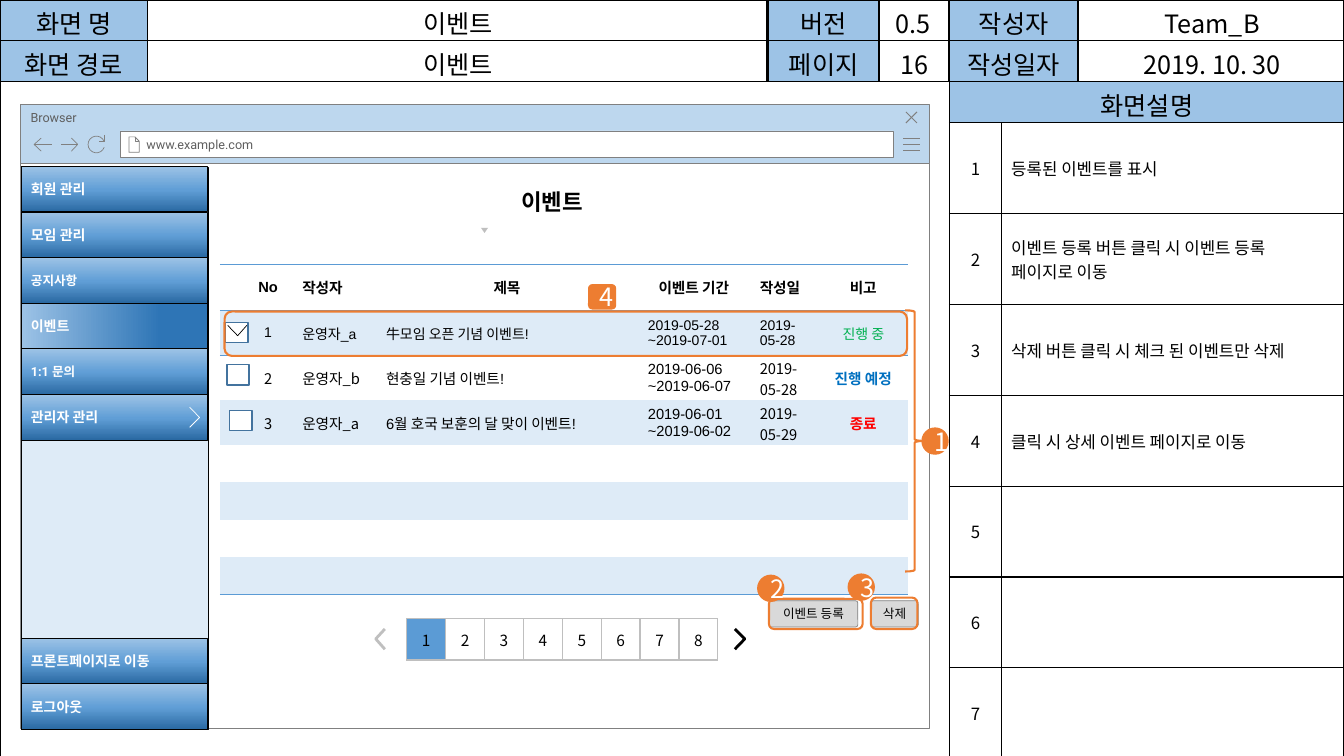
from math import cos, radians, sin

from lxml.etree import SubElement
from pptx import Presentation
from pptx.dml.color import RGBColor
from pptx.enum.shapes import MSO_SHAPE
from pptx.enum.text import MSO_ANCHOR, PP_ALIGN
from pptx.oxml.ns import qn
from pptx.util import Cm, Pt

KR, ARIAL, ROBOTO = "Noto Sans CJK KR", "Arial", "Roboto"
SKY, BLUE, PALE, GRAY, ORANGE = "9DC3E6", "5B9BD5", "DEEBF7", "808080", "ED7D31"
LEFT, CENTER = PP_ALIGN.LEFT, PP_ALIGN.CENTER

header_cols = [3.71, 15.65, 2.79, 1.78, 3.28, 6.73]
header = [
    ["화면 명", "", "버전", "0.5", "작성자", "Team_B"],
    ["화면 경로", "", "페이지", "", "작성일자", "2019. 10. 30"],
]
frame_cols = [3.71, 15.65, 2.79, 1.78, 1.3, 1.93, 6.71]
frame_rows = [1.03] * 3 + [2.29] * 7
frame_head = [
    ["화면 명", "이벤트", "버전", "", "작성자", "", ""],
    ["화면 경로", "이벤트", "페이지", "16", "작성일자", "", ""],
    ["", "", "", "", "화면설명", "", ""],
]
notes = ["등록된 이벤트를 표시", "이벤트 등록 버튼 클릭 시 이벤트 등록 페이지로 이동",
         "삭제 버튼 클릭 시 체크 된 이벤트만 삭제", "클릭 시 상세 이벤트 페이지로 이동", "", "", ""]

event_cols = [0.58, 1.22, 2.11, 6.6, 2.82, 1.73, 2.26]
event_rows = [1.17] + [1.13] * 3 + [0.94] * 4
event_aligns = [LEFT, CENTER, LEFT, LEFT, LEFT, LEFT, CENTER]
event_fonts = [KR, KR, KR, ARIAL, ARIAL, KR, ARIAL]
event_head = ["", "No", "작성자", "제목", "이벤트 기간", "작성일", "비고"]
events = [
    ["", "1", "운영자_a", "牛모임 오픈 기념 이벤트!", "2019-05-28\n~2019-07-01", "2019-05-28", "진행 중"],
    ["", "2", "운영자_b", "현충일 기념 이벤트!", "2019-06-06\n~2019-06-07", "2019-05-28", "진행 예정"],
    ["", "3", "운영자_a", "6월 호국 보훈의 달 맞이 이벤트!", "2019-06-01\n~2019-06-02", "2019-05-29", "종료"],
] + [[""] * 7] * 4
status_colors = {"진행 중": "00B050", "진행 예정": "0070C0", "종료": "FF0000"}

menu_left, menu_top, menu_width, menu_step = 0.53, 4.19, 4.7, 1.15
menu = [("회원 관리", 10), ("모임 관리", 10), ("공지사항", 9), ("이벤트", 10), ("1:1 문의", 9), ("관리자 관리", 10)]
menu_bottom = [("프론트페이지로 이동", 10), ("로그아웃", 10)]
menu_bottom_top = 16.08
menu_stops = [(0, "2A69A2"), (48, "609ED6"), (100, "9DC3E6")]
selected_stops = [(0, "2E75B6"), (25, "2E75B6"), (100, "9DC3E6")]

pages = "12345678"
buttons = [("이벤트 등록", (19.38, 15.14, 2.24, 0.66)), ("삭제", (21.95, 15.14, 1.19, 0.66))]
highlights = [(5.66, 7.85, 17.2, 1.12), (19.38, 15.09, 2.36, 0.76), (21.95, 15.06, 1.17, 0.79)]
badges = [("2", 19.08, 14.48), ("3", 21.36, 14.45), ("1", 23.22, 10.77)]
checkboxes = [(5.69, 8.13), (5.72, 9.19), (5.79, 10.34)]

reload_arc = [(2.43 + 0.21 * cos(radians(a)), 3.64 + 0.21 * sin(radians(a))) for a in range(20, 341, 20)]
browser_icons = [
    (0.5, [[(22.76, y), (23.19, y)] for y in (3.48, 3.64, 3.8)]),
    (0.75, [[(23.11, 2.82), (22.83, 3.1)], [(22.83, 2.82), (23.11, 3.1)]]),
    (0.5, [[(3.4, 3.45), (3.4, 3.56), (3.51, 3.56)],
           [(3.25, 3.45), (3.25, 3.84), (3.51, 3.84), (3.51, 3.56), (3.4, 3.45), (3.25, 3.45)]]),
    (0.5, [[(1.04, 3.81), (0.86, 3.64), (1.04, 3.48)], [(0.86, 3.64), (1.3, 3.64)]]),
    (0.5, [[(1.8, 3.48), (1.96, 3.64), (1.8, 3.81)], [(1.96, 3.64), (1.55, 3.64)]]),
    (0.5, [[(2.63, 3.4), (2.63, 3.56), (2.5, 3.56)], reload_arc]),
]
next_page = [(18.52, 16.36), (18.77, 16.1), (18.52, 15.85)]
previous_page = [(9.7, 15.85), (9.47, 16.1), (9.7, 16.36)]
check_mark = [(5.74, 8.2), (5.99, 8.46), (6.22, 8.2)]
menu_arrow = [(4.78, 10.26), (5.03, 10.52), (4.78, 10.77)]

deck = Presentation()
deck.slide_width, deck.slide_height = Cm(33.87), Cm(19.05)
slide = deck.slides.add_slide(deck.slide_layouts[6])


def color(value):
    return RGBColor.from_string(value)


def style(frame, text, size, font=KR, ink="000000", bold=False, align=CENTER):
    frame.text = text
    for paragraph in frame.paragraphs:
        paragraph.alignment = align
        paragraph.font.size = Pt(size)
        paragraph.font.name = font
        paragraph.font.bold = bold
        paragraph.font.color.rgb = color(ink)
        latin = paragraph._p.pPr.find(qn("a:defRPr")).find(qn("a:latin"))
        latin.addnext(latin.makeelement(qn("a:ea"), {"typeface": KR}))


def paint(shape, fill, line, weight):
    shape.shadow.inherit = False
    if fill:
        shape.fill.solid()
        shape.fill.fore_color.rgb = color(fill)
    else:
        shape.fill.background()
    if line:
        shape.line.color.rgb = color(line)
        shape.line.width = Pt(weight)
    else:
        shape.line.fill.background()


def add_box(kind, place, fill=None, line=None, weight=0.5):
    shape = slide.shapes.add_shape(kind, *[Cm(v) for v in place])
    paint(shape, fill, line, weight)
    return shape


def label(shape, text, size, insets=(0.25, 0.13, 0.25, 0.13), anchor=MSO_ANCHOR.MIDDLE, **look):
    frame = shape.text_frame
    frame.margin_left, frame.margin_top, frame.margin_right, frame.margin_bottom = [Cm(v) for v in insets]
    frame.vertical_anchor = anchor
    style(frame, text, size, **look)


def draw(strokes, line, weight):
    builder = None
    for stroke in strokes:
        (x, y), *rest = [(Cm(px), Cm(py)) for px, py in stroke]
        if builder:
            builder.move_to(x, y)
        else:
            builder = slide.shapes.build_freeform(x, y)
        builder.add_line_segments(rest, close=False)
    paint(builder.convert_to_shape(), None, line, weight)


def add_grid(left, top, cols, rows):
    place = [Cm(v) for v in (left, top, sum(cols), sum(rows))]
    table = slide.shapes.add_table(len(rows), len(cols), *place).table
    table.first_row = table.horz_banding = False
    table._tbl.tblPr.find(qn("a:tableStyleId")).text = "{2D5ABB26-0587-4C30-8999-92F81FD0307C}"
    for column, width in zip(table.columns, cols):
        column.width = Cm(width)
    for row, height in zip(table.rows, rows):
        row.height = Cm(height)
    return table


def fill_cell(cell, text, size, fill=None, border=None, sides="LRTB", top=0, right=0.25, **look):
    cell.vertical_anchor = MSO_ANCHOR.MIDDLE
    cell.margin_top, cell.margin_bottom, cell.margin_right = Cm(top), 0, Cm(right)
    style(cell.text_frame, text, size, **look)
    if fill:
        cell.fill.solid()
        cell.fill.fore_color.rgb = color(fill)
    else:
        cell.fill.background()
    properties = cell._tc.tcPr
    for index, side in enumerate(sides):
        edge = properties.makeelement(qn(f"a:ln{side}"), {"w": str(Pt(1))})
        SubElement(SubElement(edge, qn("a:solidFill")), qn("a:srgbClr"), val=border)
        properties.insert(index, edge)


def add_menu_item(text, size, top, stops, angle):
    item = add_box(MSO_SHAPE.RECTANGLE, (menu_left, top, menu_width, menu_step), None, "000000")
    item.fill.gradient()
    item.fill.gradient_angle = angle
    stop_list = item._element.spPr.find(qn("a:gradFill")).find(qn("a:gsLst"))
    for stop in list(stop_list):
        stop_list.remove(stop)
    for position, value in stops:
        SubElement(SubElement(stop_list, qn("a:gs"), pos=str(position * 1000)), qn("a:srgbClr"), val=value)
    label(item, text, size, (0.25, 0.13, 0.64, 0.13), font=ROBOTO, ink="FFFFFF", bold=True, align=LEFT)


title_block = add_grid(-0.03, 0, header_cols, frame_rows[:2])
for r, row in enumerate(header):
    for c, text in enumerate(row):
        fill_cell(title_block.cell(r, c), text, 18, None if c % 2 else SKY, "000000", top=0.11)

sheet = add_grid(0, 0, frame_cols, frame_rows)
for r, row in enumerate(frame_head + [["", "", "", "", str(n), note, ""] for n, note in enumerate(notes, 1)]):
    for c, text in enumerate(row):
        shaded = c in (0, 2, 4, 5) if r < 2 else r == 2 and c > 3
        note_cell = r > 2 and c == 5
        fill_cell(sheet.cell(r, c), text, 18 if r < 3 else 12, SKY if shaded else None, "000000",
                  top=0.11 if r < 3 else 0, right=0.6 if note_cell else 0.25,
                  align=LEFT if note_cell else CENTER)
for first, last in [((0, 4), (0, 5)), ((1, 4), (1, 5)), ((2, 0), (9, 3)), ((2, 4), (2, 6))] + [
        ((r, 5), (r, 6)) for r in range(3, 10)]:
    sheet.cell(*first).merge(sheet.cell(*last))

add_box(MSO_SHAPE.RECTANGLE, (0.52, 4.11, 22.91, 14.24), "FFFFFF", GRAY)
browser_bar = add_box(MSO_SHAPE.RECTANGLE, (0.52, 2.64, 22.91, 1.49), "BDD7EE", GRAY)
label(browser_bar, "Browser", 9, anchor=MSO_ANCHOR.TOP, font=ROBOTO, ink="5F5F5F", align=LEFT)
address = add_box(MSO_SHAPE.RECTANGLE, (3.03, 3.3, 19.48, 0.66), "FFFFFF", GRAY)
label(address, "www.example.com", 9, (0.66, 0.13, 0.25, 0.13), font=ROBOTO, ink="5F5F5F", align=LEFT)
for weight, strokes in browser_icons:
    draw(strokes, GRAY, weight)

event_list = add_grid(5.54, 6.66, event_cols, event_rows)
for r, row in enumerate([event_head] + events):
    for c, text in enumerate(row):
        heading = r == 0
        fill_cell(event_list.cell(r, c), text, 10 if r == 1 else 10.5, PALE if r % 2 else None, BLUE,
                  {0: "TB", 1: "T", 7: "B"}.get(r, ""), 0.05 if c == 5 and r > 1 else 0,
                  font=ARIAL if r < 2 else event_fonts[c], ink=status_colors.get(text, "000000"),
                  bold=heading or (c == 6 and r > 1),
                  align=CENTER if heading and c in (3, 4) else event_aligns[c])

pager = add_grid(10.25, 15.59, [0.98] * len(pages), [1.04])
for c, page in enumerate(pages):
    fill_cell(pager.cell(0, c), page, 11, "FFFFFF" if c else BLUE, "BFBFBF")
draw([next_page], "000000", 2)
draw([previous_page], "BFBFBF", 2)

add_box(MSO_SHAPE.ISOSCELES_TRIANGLE, (12.12, 5.74, 0.18, 0.13), "BFBFBF").rotation = 180
label(add_box(MSO_SHAPE.ROUNDED_RECTANGLE, (11.33, 4.65, 5.18, 0.86)), "이벤트", 16, bold=True)
for text, place in buttons:
    button = add_box(MSO_SHAPE.ROUNDED_RECTANGLE, place, "D9D9D9", GRAY)
    button.adjustments[0] = 0.09
    label(button, text, 9, (0.1, 0.05, 0.1, 0.05), font=ROBOTO)
for x, y in checkboxes:
    add_box(MSO_SHAPE.RECTANGLE, (x, y, 0.56, 0.51), "FFFFFF", "43739E", 1)
draw([check_mark], "000000", 0.5)

for place in highlights:
    add_box(MSO_SHAPE.ROUNDED_RECTANGLE, place, None, ORANGE, 1.5)
label(add_box(MSO_SHAPE.ROUNDED_RECTANGLE, (14.82, 7.16, 0.71, 0.64), ORANGE), "4", 18, ink="FFFFFF")
for number, x, y in badges:
    label(add_box(MSO_SHAPE.OVAL, (x, y, 0.69, 0.69), ORANGE), number, 18, ink="FFFFFF")
add_box(MSO_SHAPE.LEFT_BRACE, (22.81, 7.82, 0.48, 6.58), None, ORANGE, 1.5).rotation = 180

add_box(MSO_SHAPE.RECTANGLE, (0.53, 4.22, 4.72, 14.15), PALE, "000000")
for top, items in ((menu_top, menu), (menu_bottom_top, menu_bottom)):
    for i, (text, size) in enumerate(items):
        look = (selected_stops, 180) if text == "이벤트" else (menu_stops, 90)
        add_menu_item(text, size, top + i * menu_step, *look)
draw([menu_arrow], "FFFFFF", 0.5)

deck.save("out.pptx")
